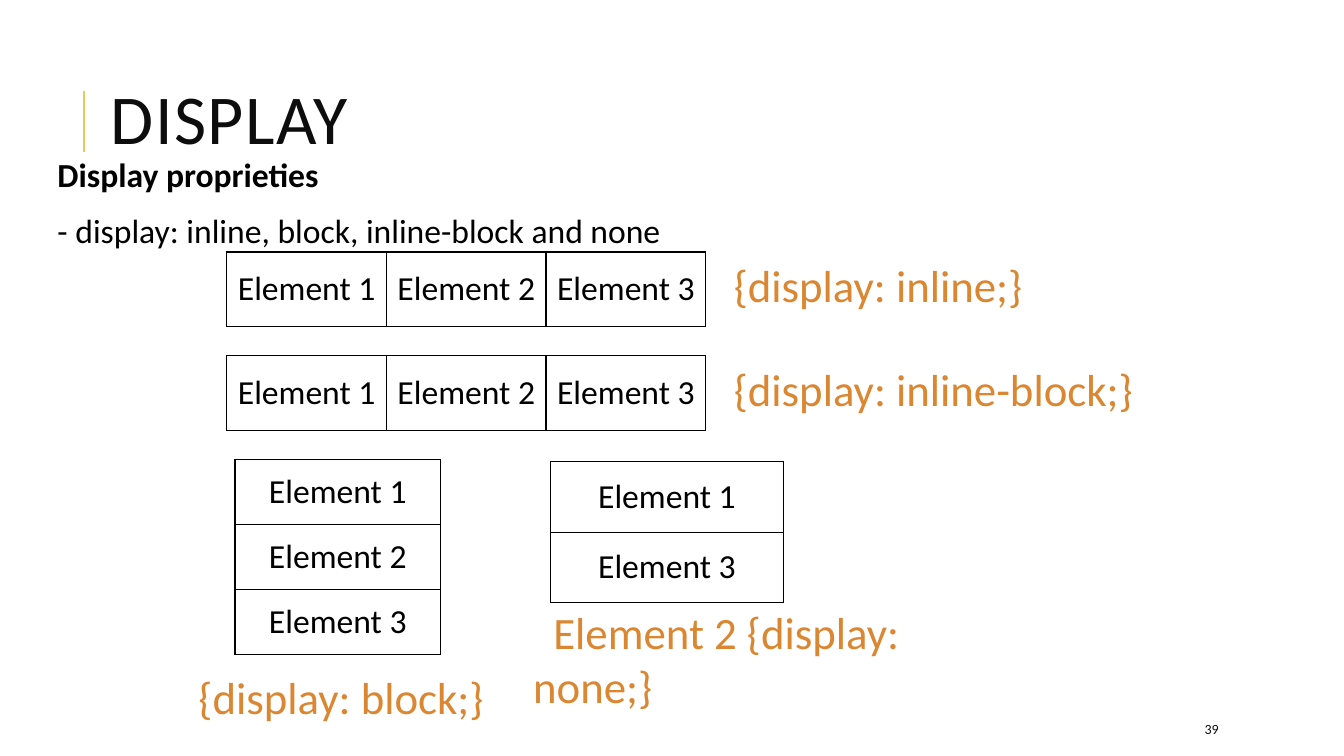
from lxml import etree
from pptx import Presentation
from pptx.dml.color import RGBColor
from pptx.enum import shapes, text
from pptx.oxml.ns import qn
from pptx.util import Inches, Pt

FONT = "Calibri"
BLACK, INK, WHITE, ORANGE, GOLD = "000000", "0D0D0D", "FFFFFF", "DB8631", "E3CC5A"

TITLE = "DISPLAY"
BODY = [("Display proprieties", True),
        ("- display: inline, block, inline-block and none", False)]
ROW = [["Element 1", "Element 2", "Element 3"]]
COLUMN = [["Element 1"], ["Element 2"], ["Element 3"]]
SHORT_COLUMN = [["Element 1"], ["Element 3"]]
# left, top, width, height, cells
TABLES = [
    (2.25, 2.5, 4.75, 0.74, ROW),
    (2.25, 3.53, 4.75, 0.74, ROW),
    (2.33, 4.56, 2.04, 1.93, COLUMN),
    (5.46, 4.58, 2.31, 1.4, SHORT_COLUMN),
]
# left, top, width, rule
RULES = [
    (6.98, 2.51, 3.43, "{display: inline;}"),
    (6.98, 3.54, 4.41, "{display: inline-block;}"),
    (1.67, 6.59, 3.35, "{display: block;}"),
    (5.19, 5.95, 5.0, "Element 2 {display: none;}"),
]
PAGE = "39"


def rgb(color):
    return RGBColor.from_string(color)


def place(s, left, top, width, height):
    s.left, s.top, s.width, s.height = map(Inches, (left, top, width, height))


def style(p, size, color, bold=False):
    for r in p.runs:
        r.font.name, r.font.size, r.font.bold = FONT, Pt(size), bold
        r.font.color.rgb = rgb(color)


def indent(p, margin, first):
    pPr = p._p.get_or_add_pPr()
    pPr.set("marL", str(Inches(margin)))
    pPr.set("indent", str(Inches(first)))
    return pPr


def border(cell):
    tcPr = cell._tc.get_or_add_tcPr()
    for i, side in enumerate(("lnL", "lnR", "lnT", "lnB")):
        ln = etree.Element(qn("a:" + side), w=str(Pt(1)))
        fill = etree.SubElement(ln, qn("a:solidFill"))
        etree.SubElement(fill, qn("a:srgbClr"), val=BLACK)
        tcPr.insert(i, ln)


def add_table(slide, left, top, width, height, cells):
    frame = slide.shapes.add_table(len(cells), len(cells[0]), Inches(left),
                                   Inches(top), Inches(width), Inches(height))
    table = frame.table
    table.first_row = table.horz_banding = False
    for i, row in enumerate(cells):
        for j, label in enumerate(row):
            cell = table.cell(i, j)
            cell.text = label
            cell.fill.background()
            cell.vertical_anchor = text.MSO_ANCHOR.MIDDLE
            cell.margin_left = cell.margin_right = Inches(0.05)
            p = cell.text_frame.paragraphs[0]
            p.alignment = text.PP_ALIGN.CENTER
            style(p, 24, BLACK)
            border(cell)


def add_text(slide, left, top, width, height, words, size, color):
    s = slide.shapes.add_textbox(Inches(left), Inches(top), Inches(width), Inches(height))
    tf = s.text_frame
    tf.word_wrap = True
    tf.text = words
    style(tf.paragraphs[0], size, color)
    return tf


def main():
    prs = Presentation()
    prs.slide_width, prs.slide_height = Inches(13.33), Inches(7.5)
    slide = prs.slides.add_slide(prs.slide_layouts[1])
    title, body = slide.placeholders

    # Accent line, behind everything else
    accent = slide.shapes.add_connector(shapes.MSO_CONNECTOR.STRAIGHT, Inches(0.83),
                                        Inches(1.9), Inches(0.83), Inches(0.9))
    accent.line.color.rgb = rgb(GOLD)
    accent.line.width = Pt(1.5)
    etree.SubElement(accent._element.spPr, qn("a:effectLst"))
    slide.shapes._spTree.insert(2, accent._element)

    # Title
    place(title, 1, 0.75, 11.92, 0.97)
    tf = title.text_frame
    tf.text = TITLE
    tf.vertical_anchor = text.MSO_ANCHOR.MIDDLE
    p = tf.paragraphs[0]
    p.alignment, p.line_spacing = text.PP_ALIGN.LEFT, 0.8
    style(p, 50, INK)
    p.runs[0].font._element.set("spc", "100")

    # Body
    place(body, 0.42, 1.52, 12.08, 4.9)
    body.fill.solid()
    body.fill.fore_color.rgb = rgb(WHITE)
    body.line.color.rgb = rgb(WHITE)
    body.line.width = Pt(1.25)
    tf = body.text_frame
    tf.margin_left = tf.margin_right = tf.margin_top = tf.margin_bottom = Inches(0.05)
    tf.text = "\n".join(words for words, _ in BODY)
    for p, (_, bold) in zip(tf.paragraphs, BODY):
        p.line_spacing, p.space_before, p.space_after = 0.9, Pt(12), Pt(2)
        etree.SubElement(indent(p, 0.1, 0), qn("a:buNone"))
        style(p, 24, BLACK, bold)

    # Element tables and their rules
    for table in TABLES:
        add_table(slide, *table)
    for left, top, width, rule in RULES:
        tf = add_text(slide, left, top, width, 0.64, rule, 32, ORANGE)
        indent(tf.paragraphs[0], 0, 0.2)

    # Page number
    tf = add_text(slide, 11.85, 7.08, 1.06, 0.3, PAGE, 10, INK)
    tf.vertical_anchor = text.MSO_ANCHOR.MIDDLE

    prs.save("out.pptx")


if __name__ == "__main__":
    main()
